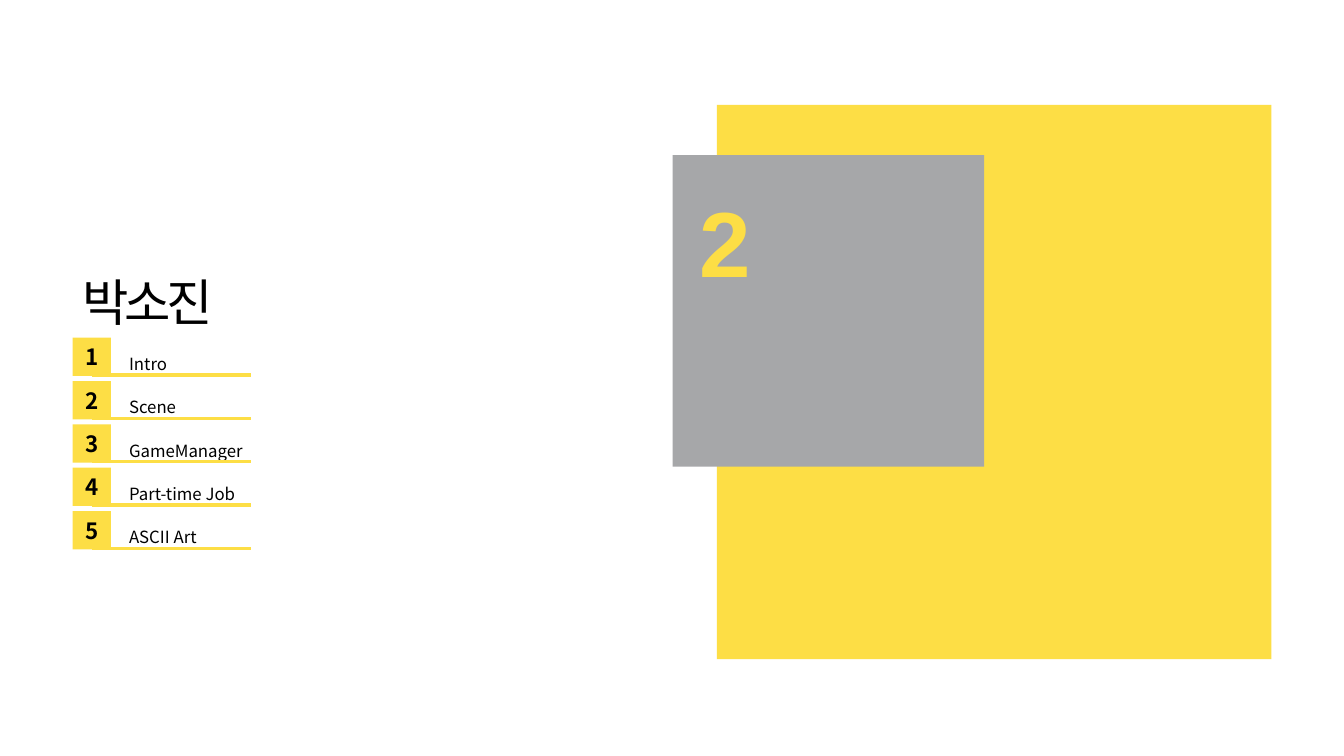
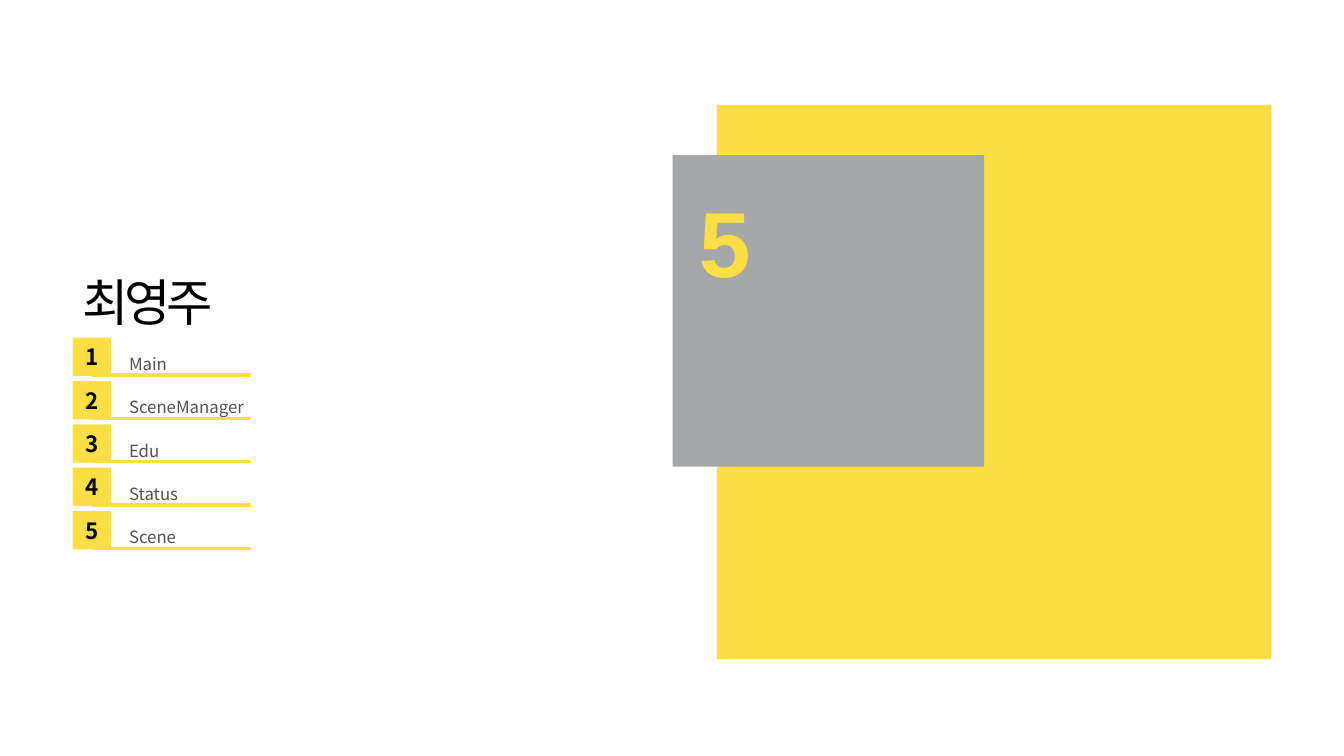
from dataclasses import dataclass

from lxml.etree import SubElement
from pptx import Presentation
from pptx.dml.color import RGBColor
from pptx.enum.shapes import MSO_CONNECTOR, MSO_SHAPE
from pptx.enum.text import MSO_ANCHOR as Anchor, MSO_AUTO_SIZE, PP_ALIGN as Align
from pptx.oxml.ns import qn
from pptx.util import Inches, Pt

YELLOW = RGBColor(0xFD, 0xDE, 0x45)
GREY = RGBColor(0xA6, 0xA7, 0xA9)
BLACK = RGBColor(0x00, 0x00, 0x00)
DARK_GREY = RGBColor(0x52, 0x53, 0x55)

BODY_FONT = "Noto Sans CJK KR"
NUMBER_FONT = "Arial"

LIST_LEFT = 0.72
LIST_TOP = 3.35
ROW_PITCH = 0.43
BADGE_SIZE = 0.38


@dataclass(frozen=True)
class Box:
    left: float
    top: float
    width: float
    height: float

    def lengths(self) -> tuple:
        return tuple(Inches(v) for v in (self.left, self.top, self.width, self.height))


@dataclass(frozen=True)
class Section:
    number: str
    name: str
    topics: tuple[str, ...]
    topic_color: RGBColor


PANEL = Box(7.11, 1.04, 5.5, 5.5)
NUMBER_PANEL = Box(6.67, 1.54, 3.09, 3.09)
NUMBER_BOX = Box(6.84, 1.79, 0.73, 1.21)
TITLE_BOX = Box(LIST_LEFT, 2.64, 1.59, 0.71)
TOPICS_BOX = Box(1.18, 3.23, 1.38, 2.25)

SECTIONS = (
    Section("2", "박소진",
            ("Intro", "Scene", "GameManager", "Part-time Job", "ASCII Art"), BLACK),
    Section("5", "최영주",
            ("Main", "SceneManager", "Edu", "Status", "Scene"), DARK_GREY),
)


def write_text(shape, *lines: str, size: float, color: RGBColor = BLACK,
               font: str = BODY_FONT, bold: bool = False, align: Align = Align.LEFT,
               anchor: Anchor = Anchor.TOP, inset: float = 0.1,
               tracking: float = 0, pitch: float | None = None) -> None:
    frame = shape.text_frame
    frame.word_wrap = True
    frame.auto_size = MSO_AUTO_SIZE.NONE
    frame.vertical_anchor = anchor
    frame.margin_left = frame.margin_right = Inches(inset)
    frame.margin_top = frame.margin_bottom = Inches(inset / 2)
    for index, line in enumerate(lines):
        paragraph = frame.paragraphs[0] if index == 0 else frame.add_paragraph()
        properties = paragraph._p.get_or_add_pPr()
        properties.set("marL", "0")
        properties.set("indent", "0")
        SubElement(properties, qn("a:buNone"))
        paragraph.alignment = align
        paragraph.space_before = Pt(0)
        if pitch is not None:
            paragraph.line_spacing = Pt(pitch * 72)
        run = paragraph.add_run()
        run.text = line
        run.font.size = Pt(size)
        run.font.bold = bold
        run.font.name = font
        run.font.color.rgb = color
        run_properties = run._r.get_or_add_rPr()
        SubElement(run_properties, qn("a:ea")).set("typeface", font)
        if tracking:
            run_properties.set("spc", str(round(tracking * 100)))


def place(shape, box: Box) -> None:
    shape.left, shape.top, shape.width, shape.height = box.lengths()


def add_rectangle(slide, box: Box, color: RGBColor):
    shape = slide.shapes.add_shape(MSO_SHAPE.RECTANGLE, *box.lengths())
    shape.shadow.inherit = False
    shape.fill.solid()
    shape.fill.fore_color.rgb = color
    shape.line.fill.background()
    return shape


def add_rule(slide, left: float, right: float, top: float) -> None:
    rule = slide.shapes.add_connector(
        MSO_CONNECTOR.STRAIGHT, Inches(left), Inches(top), Inches(right), Inches(top))
    rule.line.color.rgb = YELLOW
    rule.line.width = Pt(2.25)
    SubElement(rule._element.spPr, qn("a:effectLst"))


def add_topic_row(slide, index: int) -> None:
    top = LIST_TOP + index * ROW_PITCH
    badge = add_rectangle(slide, Box(LIST_LEFT, top, BADGE_SIZE, BADGE_SIZE), YELLOW)
    write_text(badge, str(index + 1), size=16, bold=True,
               align=Align.CENTER, anchor=Anchor.MIDDLE, inset=0)
    add_rule(slide, LIST_LEFT + BADGE_SIZE / 2, 2.49, top + 0.37)


def add_section_slide(presentation, section: Section) -> None:
    slide = presentation.slides.add_slide(presentation.slide_layouts[1])
    add_rectangle(slide, PANEL, YELLOW)
    add_rectangle(slide, NUMBER_PANEL, GREY)
    number = slide.shapes.add_textbox(*NUMBER_BOX.lengths())
    write_text(number, section.number, size=66, color=YELLOW, font=NUMBER_FONT, bold=True)

    title, topics = slide.shapes.title, slide.placeholders[1]
    place(title, TITLE_BOX)
    write_text(title, section.name, size=36, tracking=-3)
    place(topics, TOPICS_BOX)
    write_text(topics, *section.topics, size=12, color=section.topic_color, pitch=ROW_PITCH)
    for index in range(len(section.topics)):
        add_topic_row(slide, index)


def main() -> None:
    presentation = Presentation()
    presentation.slide_width = Inches(13.33)
    presentation.slide_height = Inches(7.5)
    for section in SECTIONS:
        add_section_slide(presentation, section)
    presentation.save("out.pptx")


if __name__ == "__main__":
    main()
